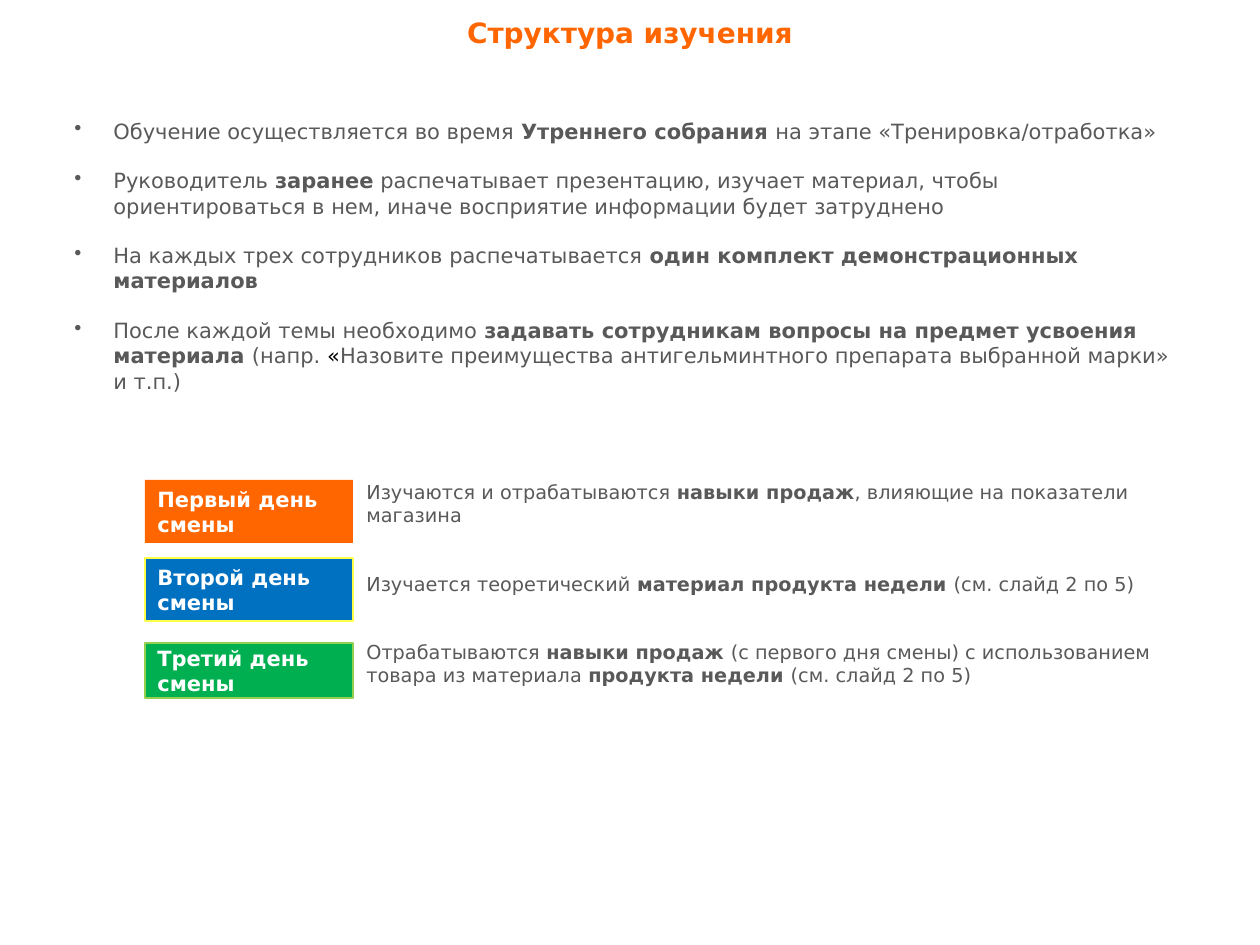
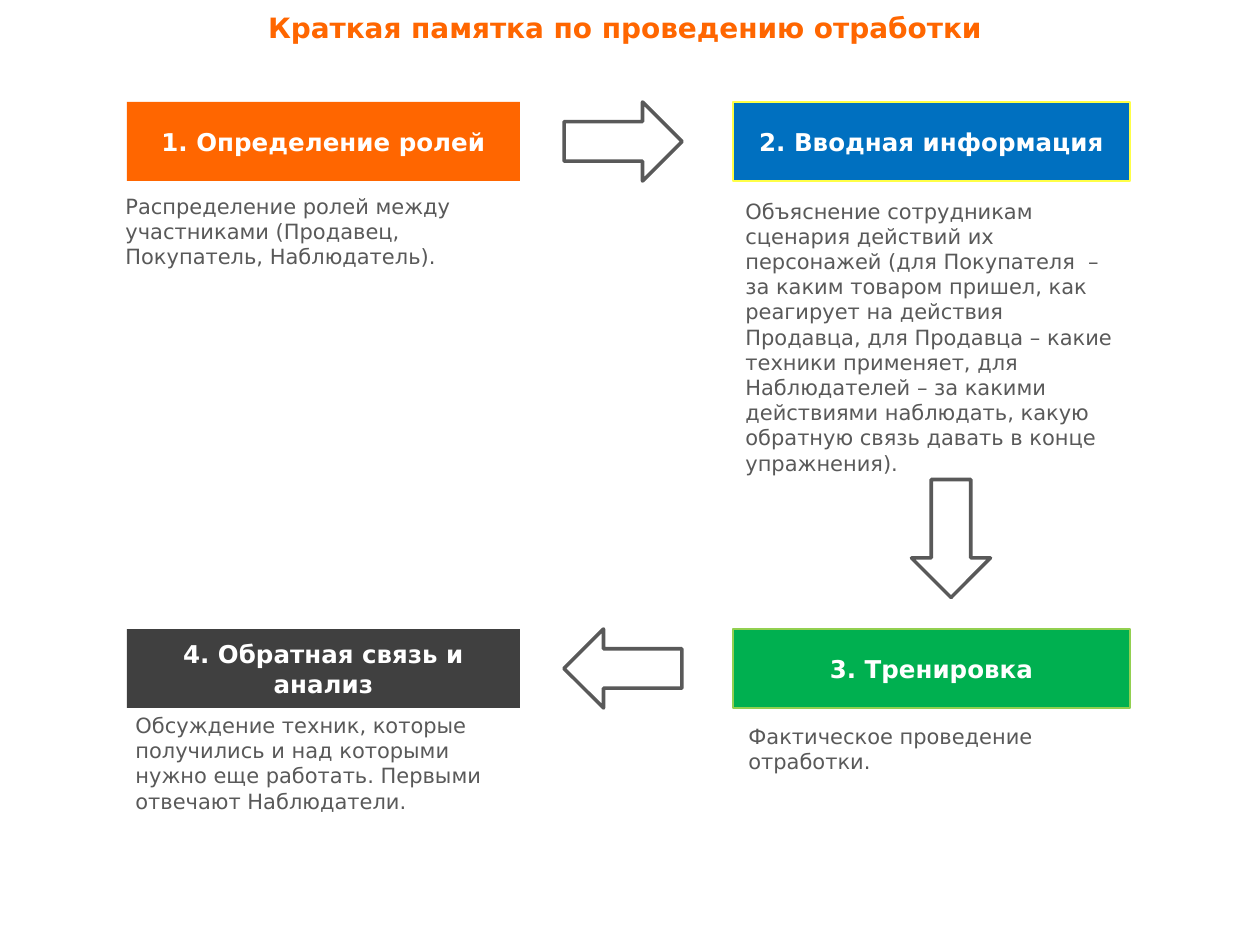
from lxml.etree import SubElement as Sub
from pptx import Presentation
from pptx.dml.color import RGBColor as Rgb
from pptx.enum.shapes import MSO_SHAPE as Kind
from pptx.enum.text import MSO_ANCHOR as Anchor, PP_ALIGN as Align
from pptx.oxml.ns import qn
from pptx.util import Emu, Pt

FONT = "DejaVu Sans"
ORANGE = Rgb(0xFF, 0x66, 0x00)
BLUE = Rgb(0x00, 0x70, 0xC0)
GREEN = Rgb(0x00, 0xB0, 0x50)
DARK = Rgb(0x40, 0x40, 0x40)
GRAY = Rgb(0x59, 0x59, 0x59)
YELLOW = Rgb(0xFF, 0xFF, 0x47)
LIME = Rgb(0x92, 0xD0, 0x50)
WHITE = Rgb(0xFF, 0xFF, 0xFF)
BLACK = Rgb(0x00, 0x00, 0x00)

WIDE, HIGH = 1260, 945
STEP_TOP, STEP_LOW, STEP_HIGH = 102, 629, 79

RULES = [
    "Обучение осуществляется во время *Утреннего собрания *на этапе "
    "«Тренировка/отработка»",
    "Руководитель *заранее* распечатывает презентацию, изучает материал, "
    "чтобы ориентироваться в нем, иначе восприятие информации будет затруднено",
    "На каждых трех сотрудников распечатывается "
    "*один комплект демонстрационных материалов*",
    "После каждой темы необходимо *задавать сотрудникам вопросы на предмет "
    "усвоения материала *(напр. **«**Назовите преимущества антигельминтного "
    "препарата выбранной марки» и т.п.)",
]
PLANS = [
    "Изучаются и отрабатываются *навыки продаж*, влияющие на показатели магазина",
    "Изучается теоретический *материал продукта недели *(см. слайд 2 по 5)",
    "Отрабатываются *навыки продаж *(с первого дня смены) с использованием "
    "товара из материала *продукта недели *(см. слайд 2 по 5)",
]
DAYS = [
    ("Первый день смены", 480, 63, ORANGE, None),
    ("Второй день смены", 558, 63, BLUE, YELLOW),
    ("Третий день смены", 643, 55, GREEN, LIME),
]
STEPS = [
    ("1. Определение ролей", 127, STEP_TOP, 393, ORANGE, None),
    ("2. Вводная информация", 733, STEP_TOP, 397, BLUE, YELLOW),
    ("3. Тренировка", 733, STEP_LOW, 397, GREEN, LIME),
    ("4. Обратная связь и анализ", 127, STEP_LOW, 393, DARK, None),
]
NOTES = [
    ("Распределение ролей между участниками (Продавец, Покупатель, "
     "Наблюдатель).", (113, 181, 407, 100), Anchor.MIDDLE),
    ("Объяснение сотрудникам сценария действий их персонажей (для "
     "Покупателя  – за каким товаром пришел, как реагирует на действия "
     "Продавца, для Продавца – какие техники применяет, для Наблюдателей – "
     "за какими действиями наблюдать, какую обратную связь давать в конце "
     "упражнения). ", (733, 192, 397, 348), Anchor.TOP),
    ("Фактическое проведение отработки.", (736, 708, 411, 81), Anchor.MIDDLE),
    ("Обсуждение техник, которые получились и над которыми нужно еще "
     "работать. Первыми отвечают Наблюдатели.", (123, 708, 397, 110),
     Anchor.MIDDLE),
]
ARROWS = [(564, STEP_TOP, 0), (892, 499, 90), (564, STEP_LOW, 180)]


def px(size):
    return Emu(round(size * 914400 / 126))


def place(area):
    return [px(side) for side in area]


def style(para, size, color, bold=None, align=Align.LEFT):
    para.alignment = align
    font = para.font
    font.name, font.size, font.bold = FONT, Pt(size), bold
    font.color.rgb = color


def fill(para, text):
    for i, part in enumerate(text.split("*")):
        if part:
            run = para.add_run()
            run.text = part
            if i % 2:
                run.font.bold = True


def add_text(slide, area, lines, size, color=GRAY, bold=None,
             align=Align.LEFT, anchor=Anchor.TOP, gap=0):
    frame = slide.shapes.add_textbox(*place(area)).text_frame
    frame.word_wrap = True
    frame.vertical_anchor = anchor
    for i, line in enumerate(lines):
        para = frame.add_paragraph() if i else frame.paragraphs[0]
        fill(para, line)
        style(para, size, color, bold, align)
        if i:
            para.space_before = Pt(gap)
    return frame.paragraphs


def add_title(slide, top, text):
    add_text(slide, (0, top, WIDE, 47), [text], 16, ORANGE, True, Align.CENTER)


def add_bullet(para):
    props = para._p.get_or_add_pPr()
    props.set("marL", str(px(39)))
    props.set("indent", str(-px(39)))
    tint = Sub(props, qn("a:buClr"))
    Sub(tint, qn("a:srgbClr"), val=str(GRAY))
    mark = Sub(props, qn("a:buChar"), char="•")
    base = props.find(qn("a:defRPr"))
    base.addprevious(tint)
    base.addprevious(mark)


def add_shape(slide, kind, area, color, edge, width):
    shape = slide.shapes.add_shape(kind, *place(area))
    shape.shadow.inherit = False
    shape.fill.solid()
    shape.fill.fore_color.rgb = color
    if edge is None:
        shape.line.fill.background()
    else:
        shape.line.color.rgb = edge
        shape.line.width = Pt(width)
    return shape


def add_box(slide, area, text, size, color, edge, align):
    frame = add_shape(slide, Kind.RECTANGLE, area, color, edge, 0.74).text_frame
    frame.word_wrap = True
    frame.vertical_anchor = Anchor.MIDDLE
    para = frame.paragraphs[0]
    fill(para, text)
    style(para, size, WHITE, True, align)


def add_arrow(slide, left, top, turn):
    area = (left, top, 118, STEP_HIGH)
    shape = add_shape(slide, Kind.RIGHT_ARROW, area, WHITE, GRAY, 2)
    shape.rotation = turn


def draw_plan(slide):
    add_title(slide, 9, "Структура изучения")
    add_text(slide, (354, 474, 843, 198), PLANS, 11, gap=26)
    rules = add_text(slide, (62, 112, 1140, 239), RULES, 12, gap=14)
    for para in rules:
        add_bullet(para)
    for run in rules[-1].runs:
        if run.text == "«":
            run.font.color.rgb = BLACK
    for text, top, high, color, edge in DAYS:
        add_box(slide, (145, top, 208, high), text, 12, color, edge, Align.LEFT)


def draw_steps(slide):
    add_title(slide, 4, "Краткая памятка по проведению отработки ")
    for text, left, top, wide, color, edge in STEPS:
        area = (left, top, wide, STEP_HIGH)
        add_box(slide, area, text, 14, color, edge, Align.CENTER)
    for arrow in ARROWS:
        add_arrow(slide, *arrow)
    for text, area, anchor in NOTES:
        add_text(slide, area, [text], 12, anchor=anchor)


def main():
    deck = Presentation()
    deck.slide_width, deck.slide_height = px(WIDE), px(HIGH)
    for draw in (draw_plan, draw_steps):
        draw(deck.slides.add_slide(deck.slide_layouts[6]))
    deck.save("out.pptx")


main()
